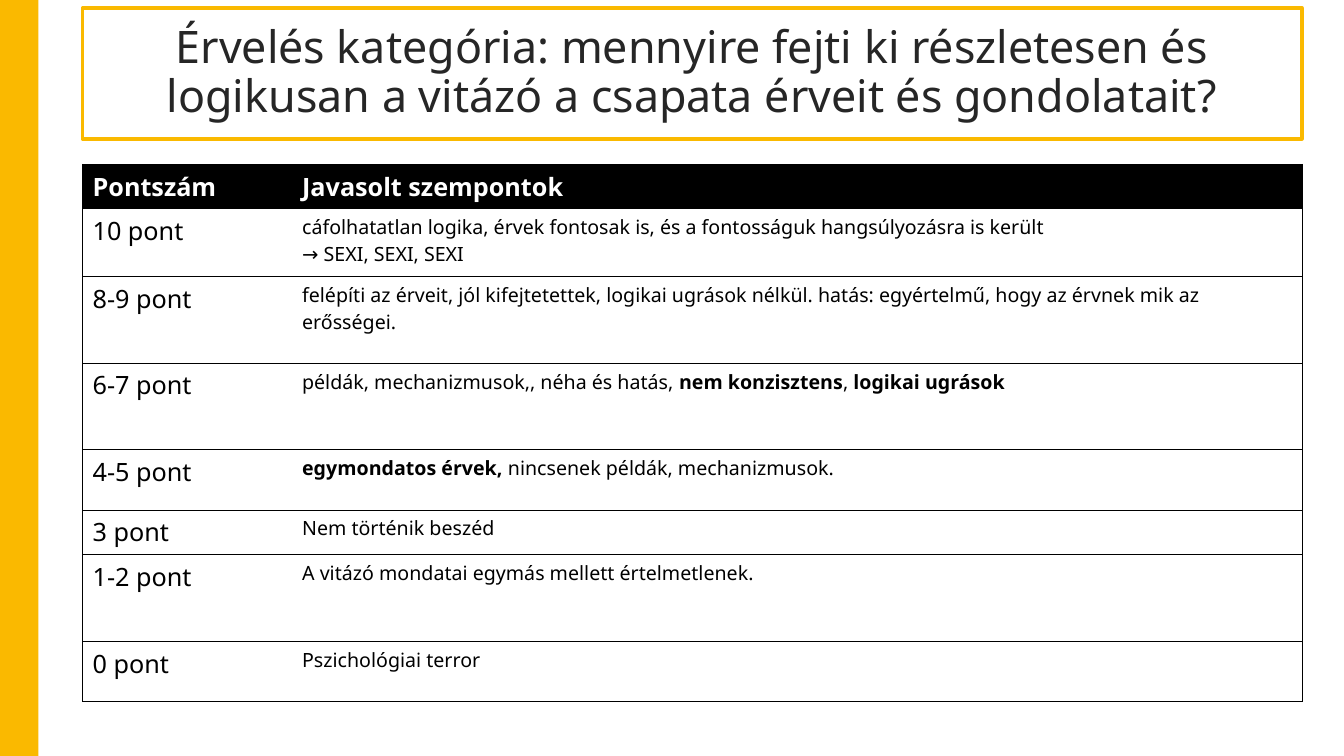
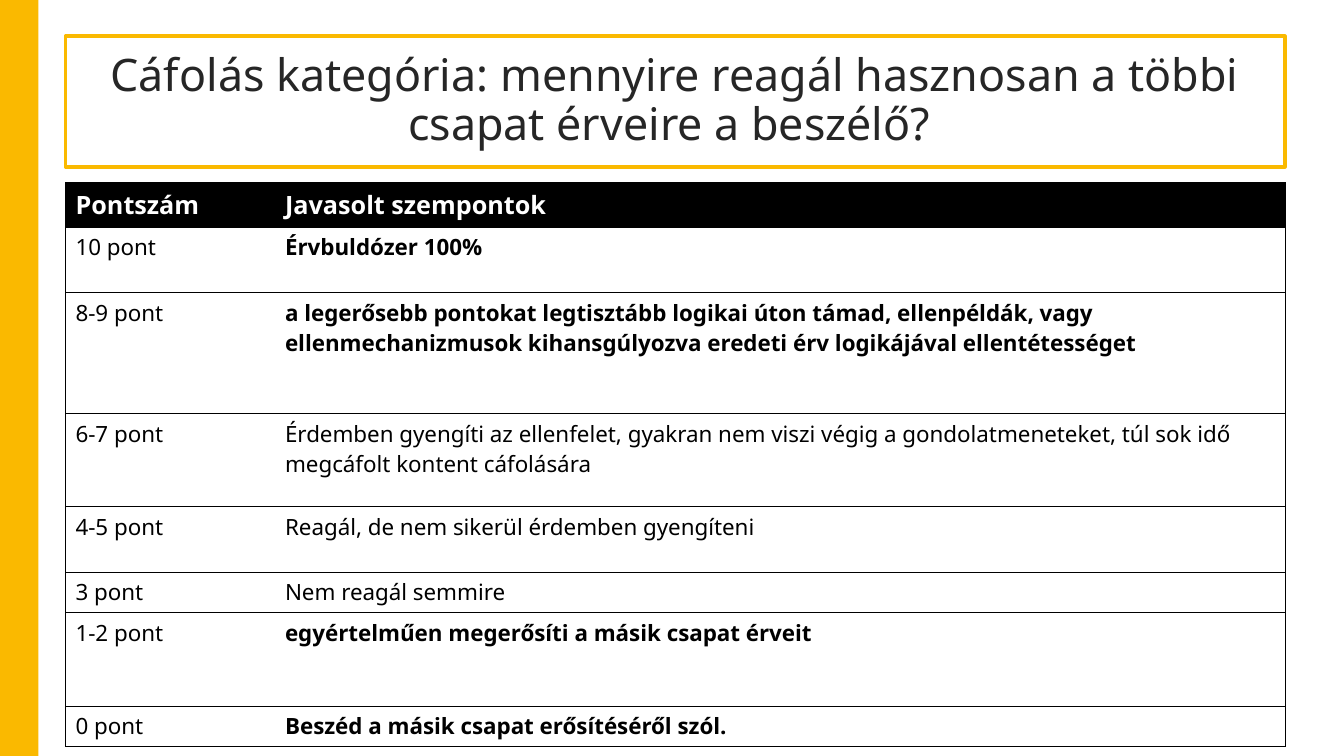
import pptx
import pptx.dml.color
import pptx.enum.shapes
import pptx.enum.text
import pptx.oxml
import pptx.oxml.ns
import pptx.util
from pptx.util import Cm

AMBER = pptx.dml.color.RGBColor(0xFA, 0xB9, 0x00)
CHARCOAL = pptx.dml.color.RGBColor(0x26, 0x26, 0x26)
BLACK = pptx.dml.color.RGBColor(0, 0, 0)
WHITE = pptx.dml.color.RGBColor(0xFF, 0xFF, 0xFF)
FONT = "Noto Sans"
CONTENT_W = Cm(30.73)
TITLE_H = Cm(3.3)
SCORE_W = Cm(5.28)
HEADER = ("Pontszám", "Javasolt szempontok")
SCORES = ("10 pont", "8-9 pont", "6-7 pont", "4-5 pont", "3 pont", "1-2 pont", "0 pont")


def write(tf, text, size=18, color=BLACK, bold=False, align=None, spacing=None):
    """Write text with one paragraph per line; parts between ** are bold."""
    for i, line in enumerate(text.split("\n")):
        p = tf.paragraphs[0] if i == 0 else tf.add_paragraph()
        p.alignment = align
        p.line_spacing = spacing
        for j, part in enumerate(line.split("**")):
            if not part:
                continue
            r = p.add_run()
            r.text = part
            r.font.name = FONT
            r.font.size = pptx.util.Pt(size)
            r.font.color.rgb = color
            r.font.bold = bold or j % 2 == 1


def add_box(s, left, top, width, height):
    """Add a rectangle without shadow, fill or line."""
    sp = s.shapes.add_shape(pptx.enum.shapes.MSO_SHAPE.RECTANGLE, left, top, width, height)
    sp.shadow.inherit = False
    sp.fill.background()
    sp.line.fill.background()
    return sp


def add_band(s):
    """Draw the amber band along the left edge."""
    sp = add_box(s, Cm(-0.05), 0, Cm(1.02), Cm(19.1))
    sp.fill.solid()
    sp.fill.fore_color.rgb = AMBER


def add_title(s, text, left, top):
    """Draw the framed title."""
    sp = add_box(s, left, top, CONTENT_W, TITLE_H)
    sp.line.color.rgb = AMBER
    sp.line.width = pptx.util.Pt(2.5)
    tf = sp.text_frame
    tf.word_wrap = True
    tf.vertical_anchor = pptx.enum.text.MSO_ANCHOR.MIDDLE
    tf.margin_left = tf.margin_right = tf.margin_top = tf.margin_bottom = Cm(0.51)
    write(tf, text, size=32, color=CHARCOAL, align=pptx.enum.text.PP_ALIGN.CENTER, spacing=0.9)


def set_borders(cell, visible):
    """Draw thin black borders on the visible sides and clear the others."""
    tcPr = cell._tc.get_or_add_tcPr()
    for side in "LRTB":
        paint = f'<a:solidFill><a:srgbClr val="{BLACK}"/></a:solidFill>' if side in visible else "<a:noFill/>"
        tcPr.append(pptx.oxml.parse_xml(
            f'<a:ln{side} {pptx.oxml.ns.nsdecls("a")} w="6350">{paint}</a:ln{side}>'))


def add_score_table(s, left, top, heights, criteria, score_size, criteria_size):
    """Draw the table of scores and their criteria."""
    rows = [HEADER, *zip(SCORES, criteria)]
    table = s.shapes.add_table(len(rows), 2, left, top, CONTENT_W, Cm(sum(heights))).table
    table.first_row = table.horz_banding = False
    table.columns[0].width = SCORE_W
    table.columns[1].width = CONTENT_W - SCORE_W
    for i, (row, height) in enumerate(zip(rows, heights)):
        table.rows[i].height = Cm(height)
        for j, text in enumerate(row):
            cell = table.cell(i, j)
            set_borders(cell, "LTB" if j == 0 else "RTB")
            cell.fill.solid()
            cell.fill.fore_color.rgb = WHITE if i else BLACK
            if i == 0:
                write(cell.text_frame, text, color=WHITE, bold=True)
            else:
                write(cell.text_frame, text, size=(score_size, criteria_size)[j])


def add_category_slide(prs, title, left, top, gap, **table):
    """Build a slide with a band, a title and a score table below it."""
    s = prs.slides.add_slide(prs.slide_layouts[6])
    add_band(s)
    add_title(s, title, left, top)
    add_score_table(s, left, top + TITLE_H + gap, **table)


prs = pptx.Presentation()
prs.slide_width, prs.slide_height = Cm(33.87), Cm(19.05)

add_category_slide(
    prs,
    "Érvelés kategória: mennyire fejti ki részletesen és logikusan a vitázó "
    "a csapata érveit és gondolatait?",
    Cm(2.08), Cm(0.2), Cm(0.64),
    heights=(1.11, 1.71, 2.18, 2.18, 1.52, 1.13, 2.18, 1.52),
    criteria=(
        "cáfolhatatlan logika, érvek fontosak is, és a fontosságuk hangsúlyozásra is került\n"
        "→ SEXI, SEXI, SEXI",
        "felépíti az érveit, jól kifejtetettek, logikai ugrások nélkül. hatás: egyértelmű, "
        "hogy az érvnek mik az erősségei.",
        "példák, mechanizmusok,, néha és hatás, **nem konzisztens**, **logikai ugrások**",
        "**egymondatos érvek, **nincsenek példák, mechanizmusok.",
        "Nem történik beszéd",
        "A vitázó mondatai egymás mellett értelmetlenek.",
        "Pszichológiai terror",
    ),
    score_size=18, criteria_size=14)

add_category_slide(
    prs,
    "Cáfolás kategória: mennyire reagál hasznosan a többi csapat érveire a beszélő? ",
    Cm(1.65), Cm(0.91), Cm(0.39),
    heights=(1.11, 1.65, 3.05, 2.34, 1.65, 1.02, 2.36, 1.02),
    criteria=(
        "**Érvbuldózer 100%**",
        "**a legerősebb pontokat legtisztább logikai úton támad, ellenpéldák, vagy "
        "ellenmechanizmusok kihansgúlyozva eredeti érv logikájával ellentétességet**",
        "Érdemben gyengíti az ellenfelet, gyakran nem viszi végig a gondolatmeneteket, "
        "túl sok idő megcáfolt kontent cáfolására",
        "Reagál, de nem sikerül érdemben gyengíteni",
        "Nem reagál semmire",
        "**egyértelműen megerősíti a másik csapat érveit**",
        "**Beszéd a másik csapat erősítéséről szól.**",
    ),
    score_size=16, criteria_size=16)

prs.save("out.pptx")
